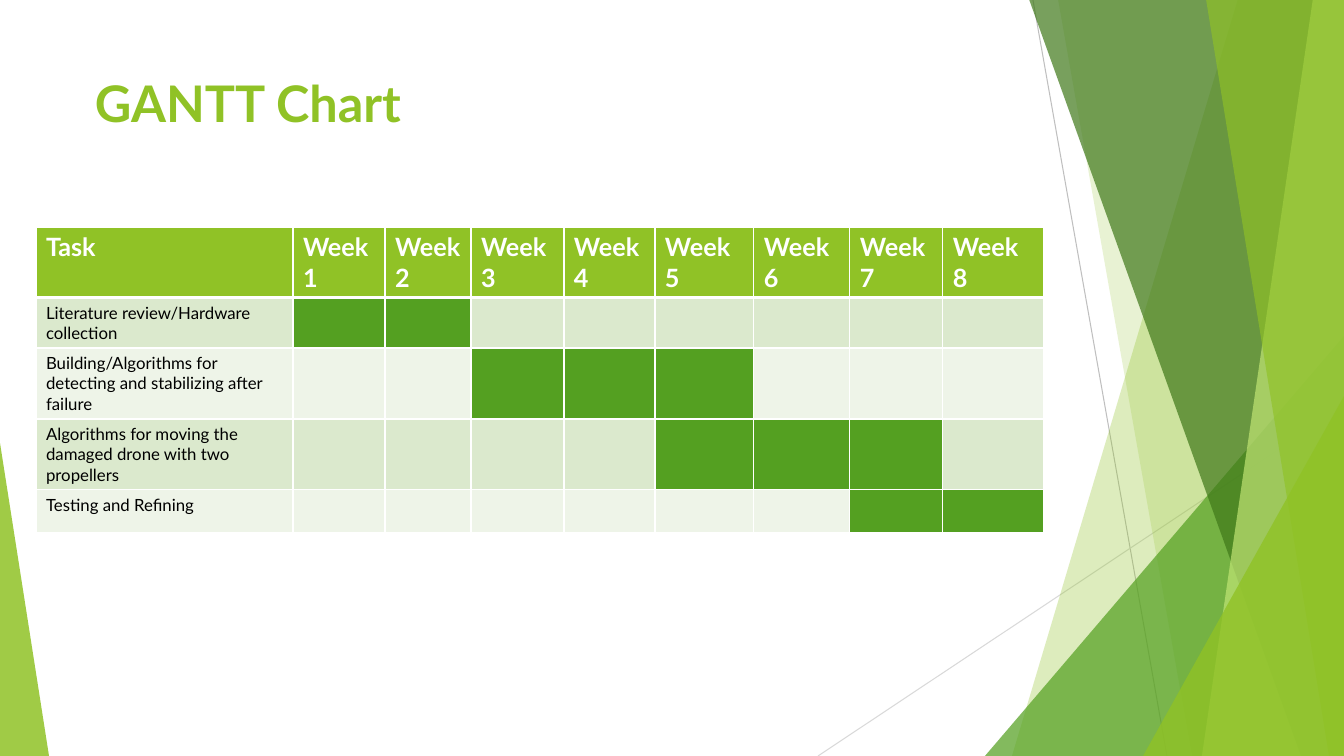
from pptx import Presentation
from pptx.dml.color import RGBColor
from pptx.enum.shapes import MSO_CONNECTOR, MSO_SHAPE
from pptx.enum.text import MSO_ANCHOR
from pptx.oxml.ns import qn
from pptx.util import Emu, Pt
from lxml.etree import SubElement

TITLE = "GANTT Chart"
HEADERS = ["Task"] + [f"Week\n{week}" for week in range(1, 9)]
TASKS = [
    ("Literature review/Hardware collection", 1, 2),
    ("Building/Algorithms for detecting and stabilizing after failure", 3, 5),
    ("Algorithms for moving the damaged drone with two propellers", 5, 7),
    ("Testing and Refining", 7, 8),
]

THEME = {
    "font": "Lato", "title_size": 36, "header_size": 18, "task_size": 12,
    "lime": "90C226", "green": "54A021", "forest": "3F7819", "pale": "C0E474",
    "bands": ("DBE9CD", "EEF4E8"), "white": "FFFFFF", "black": "000000",
    "line_dark": "BFBFBF", "line_light": "D9D9D9",
}

SLIDE_WIDTH, SLIDE_HEIGHT = 1344, 756
EMU_PER_PX = 914400 / 100.8
TITLE_BOX = (75, 67, 948, 145)
TITLE_INSET = 20
TABLE_LEFT, TABLE_TOP = 36, 227
COLUMN_WIDTHS = [257, 92, 86, 93, 91, 99, 96, 93, 101]
ROW_HEIGHTS = [70, 50, 71, 70, 43]

RAYS = [
    ((1033, 0), (1167, 756), "line_dark"),
    ((1344, 406), (818, 756), "line_light"),
]
FACETS = [
    ("band", (1238, 1012), "lime", 30),
    ("band", (1058, 1192), "lime", 20),
    ("triangle", (985, 336, 359, 420, 1), "green", 72),
    ("band", (1029, 1301), "forest", 70),
    ("band", (1313, 1202), "pale", 70),
    ("band", (1206, 1329), "lime", 65),
    ("triangle", (1143, 396, 201, 360, 1), "lime", 80),
    ("triangle", (0, 443, 49, 313, 0), "lime", 85),
]


def px(length):
    return Emu(round(length * EMU_PER_PX))


def color(value):
    return RGBColor.from_string(value)


def style_text(text_frame, size, text_color, bold):
    for paragraph in text_frame.paragraphs:
        for run in paragraph.runs:
            run.font.name = THEME["font"]
            run.font.size = Pt(size)
            run.font.bold = bold
            run.font.color.rgb = color(text_color)


def add_ray(slide, start, end, color_name):
    connector = slide.shapes.add_connector(
        MSO_CONNECTOR.STRAIGHT, *map(px, start + end))
    connector.line.color.rgb = color(THEME[color_name])
    connector.line.width = Pt(0.75)
    SubElement(connector._element.spPr, qn("a:effectLst"))


def add_facet(slide, kind, geometry, color_name, opacity):
    if kind == "band":
        top_left, bottom_left = geometry
        builder = slide.shapes.build_freeform(top_left, -1, scale=EMU_PER_PX)
        builder.add_line_segments([
            (SLIDE_WIDTH, -1), (SLIDE_WIDTH, SLIDE_HEIGHT),
            (bottom_left, SLIDE_HEIGHT)], close=True)
        shape = builder.convert_to_shape()
    else:
        *box, apex = geometry
        shape = slide.shapes.add_shape(
            MSO_SHAPE.ISOSCELES_TRIANGLE, *map(px, box))
        shape.adjustments[0] = apex
    shape.shadow.inherit = False
    shape.line.fill.background()
    shape.fill.solid()
    shape.fill.fore_color.rgb = color(THEME[color_name])
    fill_color = shape._element.spPr.find(qn("a:solidFill")).find(qn("a:srgbClr"))
    SubElement(fill_color, qn("a:alpha")).set("val", str(opacity * 1000))


def add_title(slide):
    shape = slide.shapes.add_textbox(*map(px, TITLE_BOX))
    text_frame = shape.text_frame
    text_frame.word_wrap = True
    text_frame.vertical_anchor = MSO_ANCHOR.TOP
    text_frame.margin_left = px(TITLE_INSET)
    text_frame.text = TITLE
    style_text(text_frame, THEME["title_size"], THEME["lime"], True)


def style_cell(cell, fill, top, bottom):
    cell.fill.solid()
    cell.fill.fore_color.rgb = color(fill)
    properties = cell._tc.get_or_add_tcPr()
    borders = (("a:lnL", 1), ("a:lnR", 1), ("a:lnT", top), ("a:lnB", bottom))
    for position, (tag, width) in enumerate(borders):
        border = SubElement(properties, qn(tag), w=str(Pt(width)))
        solid = SubElement(border, qn("a:solidFill"))
        SubElement(solid, qn("a:srgbClr"), val=THEME["white"])
        properties.insert(position, border)


def add_gantt(slide):
    table = slide.shapes.add_table(
        len(ROW_HEIGHTS), len(COLUMN_WIDTHS), px(TABLE_LEFT), px(TABLE_TOP),
        px(sum(COLUMN_WIDTHS)), px(sum(ROW_HEIGHTS))).table
    for column, width in zip(table.columns, COLUMN_WIDTHS):
        column.width = px(width)
    for row, height in zip(table.rows, ROW_HEIGHTS):
        row.height = px(height)
    for index, header in enumerate(HEADERS):
        cell = table.cell(0, index)
        cell.text_frame.text = header
        style_text(cell.text_frame, THEME["header_size"], THEME["white"], True)
        style_cell(cell, THEME["lime"], 1, 3)
    for row_index, (task, first_week, last_week) in enumerate(TASKS, 1):
        label = table.cell(row_index, 0).text_frame
        label.text = task
        style_text(label, THEME["task_size"], THEME["black"], False)
        band = THEME["bands"][(row_index - 1) % 2]
        for week in range(len(HEADERS)):
            active = first_week <= week <= last_week
            style_cell(table.cell(row_index, week),
                       THEME["green"] if active else band,
                       3 if row_index == 1 else 1, 1)


def main():
    presentation = Presentation()
    presentation.slide_width = px(SLIDE_WIDTH)
    presentation.slide_height = px(SLIDE_HEIGHT)
    slide = presentation.slides.add_slide(presentation.slide_layouts[6])
    for ray in RAYS:
        add_ray(slide, *ray)
    for facet in FACETS:
        add_facet(slide, *facet)
    add_title(slide)
    add_gantt(slide)
    presentation.save("out.pptx")


if __name__ == "__main__":
    main()
